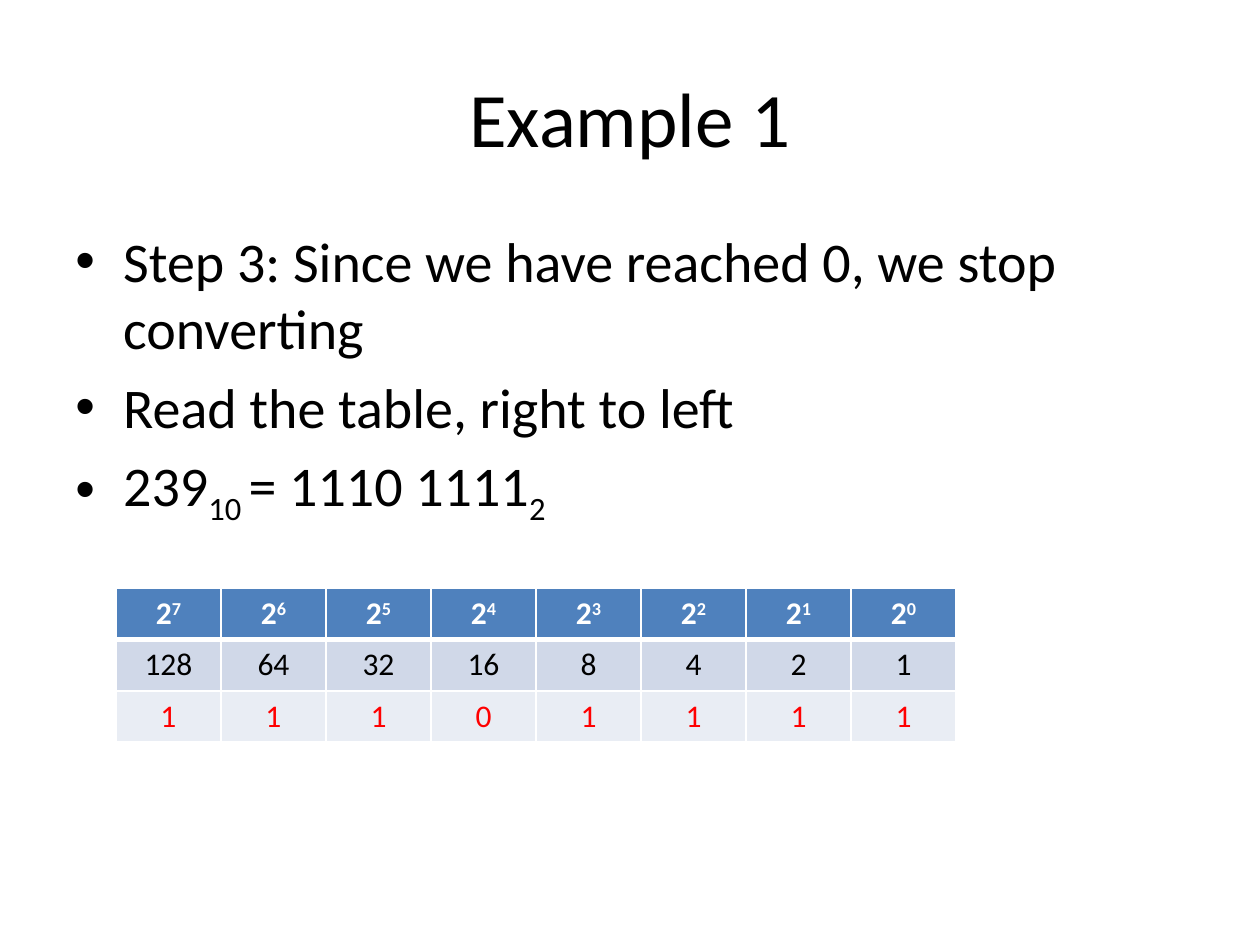
import pptx
import pptx.dml.color
import pptx.enum.text
import pptx.oxml
import pptx.oxml.ns
import pptx.util

Inches = pptx.util.Inches
Pt = pptx.util.Pt
ALIGN = pptx.enum.text.PP_ALIGN
ANCHOR = pptx.enum.text.MSO_ANCHOR
NS = pptx.oxml.ns.nsdecls("a")


def color(code):
    return pptx.dml.color.RGBColor.from_string(code)


def write(para, text, size, code="000000", bold=False, base=0):
    run = para.add_run()
    run.text = text
    font = run.font
    font.name = "Calibri"
    font.size = Pt(size)
    font.bold = bold
    font.color.rgb = color(code)
    if base:
        run._r.get_or_add_rPr().set("baseline", str(base * 1000))


deck = pptx.Presentation()
deck.slide_width = Inches(10)
deck.slide_height = Inches(7.5)
slide = deck.slides.add_slide(deck.slide_layouts[6])

title = slide.shapes.add_textbox(Inches(0.5), Inches(0.3), Inches(9), Inches(1.25))
frame = title.text_frame
frame.word_wrap = True
frame.vertical_anchor = ANCHOR.MIDDLE
para = frame.paragraphs[0]
para.alignment = ALIGN.CENTER
write(para, "Example 1", 44)

body = slide.shapes.add_textbox(Inches(0.5), Inches(1.75), Inches(9), Inches(4.95))
frame = body.text_frame
frame.word_wrap = True
steps = [
    [("Step 3: Since we have reached 0, we stop converting", 0)],
    [("Read the table, right to left", 0)],
    [("239", 0), ("10 ", -25), ("= 1110 1111", 0), ("2", -25)],
]
for i, step in enumerate(steps):
    para = frame.add_paragraph() if i else frame.paragraphs[0]
    props = para._p.get_or_add_pPr()
    props.set("marL", str(Inches(0.38)))
    props.set("indent", str(-Inches(0.38)))
    props.append(pptx.oxml.parse_xml(f'<a:buFont {NS} typeface="Arial"/>'))
    props.append(pptx.oxml.parse_xml(f'<a:buChar {NS} char="•"/>'))
    if i:
        para.space_before = Pt(6.4)
    for text, base in step:
        write(para, text, 32, base=base)

bits = "11101111"
count = len(bits)
powers = range(count - 1, -1, -1)
rows = [
    ([[("2", 0), (str(n), 30)] for n in powers], "4F81BD", "FFFFFF"),
    ([[(str(2 ** n), 0)] for n in powers], "D0D8E8", "000000"),
    ([[(bit, 0)] for bit in bits], "E9EDF4", "FF0000"),
]
grid = slide.shapes.add_table(
    len(rows), count, Inches(0.92), Inches(4.67), Inches(6.67), Inches(1.22)
).table
for r, (cells, fill, ink) in enumerate(rows):
    for c, parts in enumerate(cells):
        cell = grid.cell(r, c)
        cell.margin_left = cell.margin_right = Inches(0.07)
        cell.margin_top = cell.margin_bottom = Inches(0.05)
        for side in "LRTB":
            thick = (r, side) in [(0, "B"), (1, "T")]
            cell._tc.get_or_add_tcPr().append(pptx.oxml.parse_xml(
                f'<a:ln{side} {NS} w="{Pt(3 if thick else 1)}"><a:solidFill>'
                f'<a:srgbClr val="FFFFFF"/></a:solidFill></a:ln{side}>'
            ))
        cell.fill.solid()
        cell.fill.fore_color.rgb = color(fill)
        para = cell.text_frame.paragraphs[0]
        para.alignment = ALIGN.CENTER
        for text, base in parts:
            write(para, text, 18, ink, r == 0, base)

deck.save("out.pptx")
